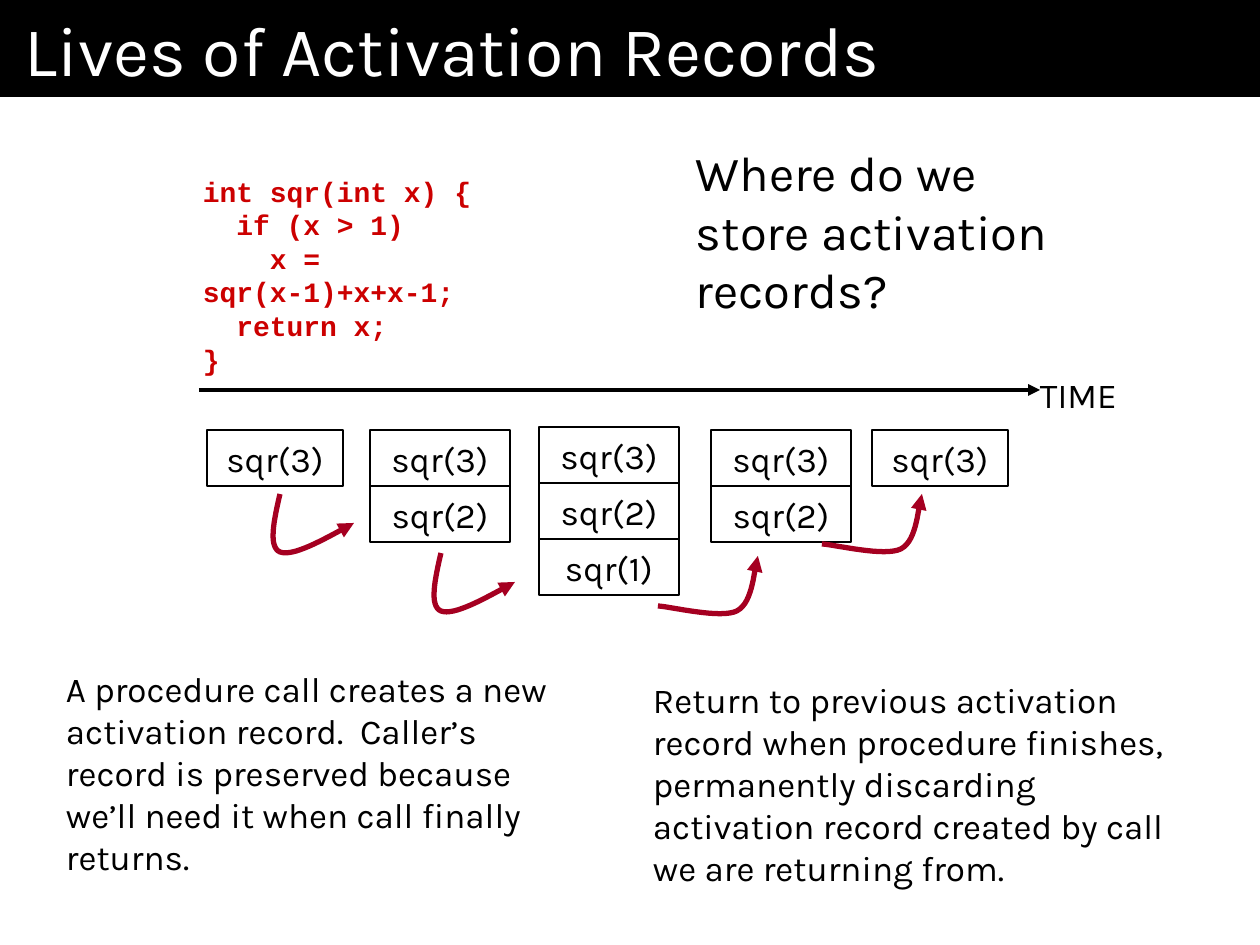
from dataclasses import dataclass

from lxml import etree
from pptx import Presentation
from pptx.dml.color import RGBColor
from pptx.enum.shapes import MSO_CONNECTOR, MSO_SHAPE
from pptx.enum.text import MSO_ANCHOR, PP_ALIGN
from pptx.oxml.ns import qn
from pptx.util import Pt

RECTANGLE, STRAIGHT = MSO_SHAPE.RECTANGLE, MSO_CONNECTOR.STRAIGHT
LEFT, CENTER = PP_ALIGN.LEFT, PP_ALIGN.CENTER
TOP, MIDDLE = MSO_ANCHOR.TOP, MSO_ANCHOR.MIDDLE
PX = 914400 / 126


@dataclass(frozen=True)
class Theme:
    black: str = "000000"
    white: str = "FFFFFF"
    code: str = "CC0000"
    arrow: str = "A50021"
    sans: str = "Karla"
    mono: str = "Courier New"
    title_size: int = 40
    question_size: int = 28
    body_size: int = 20
    code_size: int = 16


THEME = Theme()

# Content: boxes are left, top, width, height in px
TITLE = "Lives of Activation Records"
CODE = """int sqr(int x) {
  if (x > 1)
    x = sqr(x-1)+x+x-1;
  return x;
}"""
QUESTION = "Where do we store activation records?"
NOTES = [
    ("A procedure call creates a new activation record.  Caller’s record is "
     "preserved because we’ll need it when call finally returns.",
     (53, 661, 514, 223)),
    ("Return to previous activation record when procedure finishes, permanently "
     "discarding activation record created by call we are returning from.",
     (640, 672, 577, 223)),
]

# Stacks over time: left, top, width, arguments of the live calls
RECORD_HEIGHT = 56
STACKS = [
    (207, 430, 136, [3]),
    (370, 430, 140, [3, 2]),
    (539, 427, 140, [3, 2, 1]),
    (711, 430, 140, [3, 2]),
    (872, 430, 136, [3]),
]

# Cubic curves relative to their start: two controls and an end for each piece
CALL_CURVE = [((-6, 26), (-12, 53), (0, 58)), ((13, 63), (43, 46), (74, 29))]
RETURN_CURVE = [((14, 1), (63, 13), (79, 5)), ((96, -4), (96, -39), (100, -50))]
ARROWS = [
    ((280, 494), CALL_CURVE),
    ((441, 553), CALL_CURVE),
    ((658, 606), RETURN_CURVE),
    ((822, 544), RETURN_CURVE),
]
CURVE_STEPS = 16


def emu(*lengths):
    return [round(length * PX) for length in lengths]


def color(value):
    return RGBColor.from_string(value)


def write(box, text, size=THEME.body_size, font=THEME.sans, ink=THEME.black,
          bold=False, align=LEFT, anchor=TOP, wrap=True, side_margin=13):
    frame = box.text_frame
    frame.word_wrap = wrap
    frame.vertical_anchor = anchor
    frame.margin_left, frame.margin_right = emu(side_margin, side_margin)
    frame.text = text
    for para in frame.paragraphs:
        para.alignment = align
        for span in para.runs:
            span.font.size = Pt(size)
            span.font.name = font
            span.font.bold = bold
            span.font.color.rgb = color(ink)


def add_text(page, bounds, text, **style):
    write(page.shapes.add_textbox(*emu(*bounds)), text, **style)


def add_rectangle(page, bounds, text, fill=None, outline=None, **style):
    box = page.shapes.add_shape(RECTANGLE, *emu(*bounds))
    box.shadow.inherit = False
    if fill:
        box.fill.solid()
        box.fill.fore_color.rgb = color(fill)
    else:
        box.fill.background()
    if outline:
        box.line.color.rgb = color(outline)
        box.line.width = Pt(0.75)
    else:
        box.line.fill.background()
    write(box, text, **style)


def style_arrow(arrow, ink, width):
    arrow.line.color.rgb = color(ink)
    arrow.line.width = Pt(width)
    properties = arrow.line._get_or_add_ln()
    etree.SubElement(properties, qn("a:tailEnd"), type="triangle")


def curve_points(start, pieces):
    origin = (0, 0)
    for first, second, end in pieces:
        for step in range(1, CURVE_STEPS + 1):
            t = step / CURVE_STEPS
            u = 1 - t
            weights = (u**3, 3 * u * u * t, 3 * u * t * t, t**3)
            corners = (origin, first, second, end)
            yield emu(*(start[axis] + sum(w * c[axis] for w, c in zip(weights, corners))
                        for axis in (0, 1)))
        origin = end


def add_curved_arrow(page, start, pieces):
    builder = page.shapes.build_freeform(*emu(*start))
    builder.add_line_segments(curve_points(start, pieces), close=False)
    arrow = builder.convert_to_shape()
    arrow.shadow.inherit = False
    arrow.fill.background()
    style_arrow(arrow, THEME.arrow, 3)


def main():
    deck = Presentation()
    deck.slide_width, deck.slide_height = emu(1260, 945)
    page = deck.slides.add_slide(deck.slide_layouts[6])

    # Title bar, code and question
    add_rectangle(page, (0, 0, 1260, 97), TITLE, fill=THEME.black,
                  ink=THEME.white, size=THEME.title_size, side_margin=25)
    add_text(page, (190, 168, 411, 181), CODE, size=THEME.code_size,
             font=THEME.mono, ink=THEME.code, bold=True, wrap=False)
    add_text(page, (683, 136, 431, 189), QUESTION, size=THEME.question_size)

    # Time axis
    axis = page.shapes.add_connector(STRAIGHT, *emu(199, 390, 1040, 390))
    style_arrow(axis, THEME.black, 2.25)
    etree.SubElement(axis._element.spPr, qn("a:effectLst"))
    add_text(page, (1027, 367, 107, 55), "TIME", wrap=False)

    # Stacks of activation records
    for left, top, width, arguments in STACKS:
        for row, argument in enumerate(arguments):
            bounds = (left, top + row * RECORD_HEIGHT, width, RECORD_HEIGHT)
            add_rectangle(page, bounds, f"sqr({argument})", outline=THEME.black,
                          align=CENTER, anchor=MIDDLE)

    # Calls and returns
    for start, pieces in ARROWS:
        add_curved_arrow(page, start, pieces)

    # Explanations
    for text, bounds in NOTES:
        add_text(page, bounds, text)

    deck.save("out.pptx")


if __name__ == "__main__":
    main()
